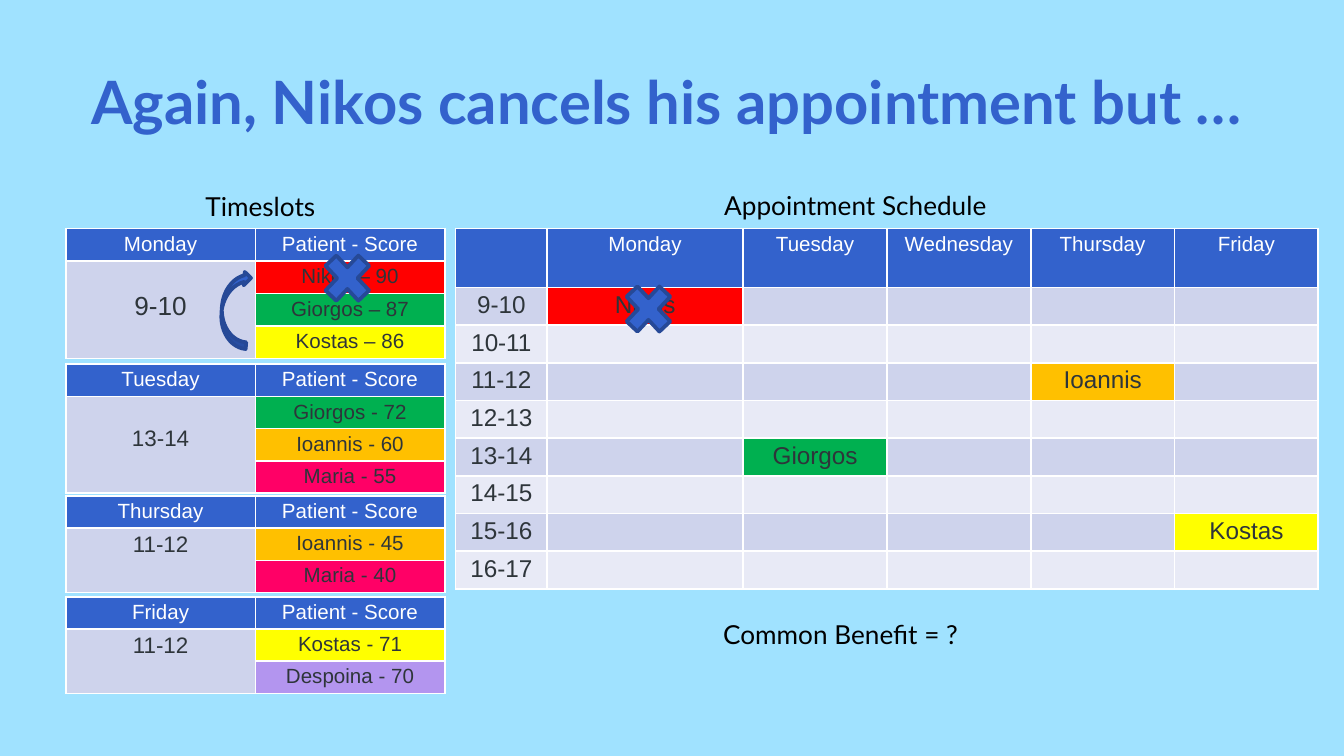
"""Build the slide about a cancelled appointment and its schedule."""
from dataclasses import dataclass

from lxml import etree
from pptx import Presentation
from pptx import util as u
from pptx.dml import color
from pptx.enum import shapes, text
from pptx.oxml import ns

BLUE, DARK_BLUE, WHITE, INK = "3362CC", "264997", "FFFFFF", "2E353A"
BANDS = ("CED3EC", "E8EAF6")
SLIDE_WIDTH = 10
SLIDE_HEIGHT = SLIDE_WIDTH * 9 / 16
TABLE_LEFT, TABLE_TOP = 0.49, 1.7
PATIENT_FILLS = {
    "Nikos": "FF0000",
    "Giorgos": "00B050",
    "Kostas": "FFFF00",
    "Ioannis": "FFC000",
    "Maria": "FF0066",
    "Despoina": "B395EF",
}


@dataclass(frozen=True)
class Timeslot:
    day: str
    hours: str
    patients: tuple[str, ...]
    top: float
    height: float
    hours_size: int = 12
    hours_margin: float = 0.03


@dataclass(frozen=True)
class Label:
    text: str
    left: float
    top: float
    width: float
    alignment: text.PP_ALIGN = text.PP_ALIGN.LEFT


@dataclass(frozen=True)
class Marker:
    kind: shapes.MSO_SHAPE
    left: float
    top: float
    width: float
    height: float
    rotation: float = 0


TIMESLOTS = (
    Timeslot("Monday", "9-10", ("Nikos – 90", "Giorgos – 87", "Kostas – 86"),
             TABLE_TOP, 0.97, 14, 0.23),
    Timeslot("Tuesday", "13-14", ("Giorgos - 72", "Ioannis - 60", "Maria - 55"),
             2.71, 0.96, 12, 0.22),
    Timeslot("Thursday", "11-12", ("Ioannis - 45", "Maria - 40"), 3.69, 0.72),
    Timeslot("Friday", "11-12", ("Kostas - 71", "Despoina - 70"), 4.44, 0.72),
)
DAYS = ("Monday", "Tuesday", "Wednesday", "Thursday", "Friday")
HOURS = tuple(f"{hour}-{hour + 1}" for hour in range(9, 17))
BOOKINGS = {
    ("9-10", "Monday"): "Nikos",
    ("11-12", "Thursday"): "Ioannis",
    ("13-14", "Tuesday"): "Giorgos",
    ("15-16", "Friday"): "Kostas",
}
LABELS = (
    Label("Timeslots", 1.43, 1.37, 1.09),
    Label("Appointment Schedule", 5.29, 1.36, 2.18),
    Label("Common Benefit = ?", 3.46, 4.55, 5.59, text.PP_ALIGN.CENTER),
)
MARKERS = (
    Marker(shapes.MSO_SHAPE.MATH_MULTIPLY, 2.35, 1.82, 0.47, 0.5),
    Marker(shapes.MSO_SHAPE.CURVED_LEFT_ARROW, 1.65, 2.01, 0.2, 0.58, 184.3),
    Marker(shapes.MSO_SHAPE.MATH_MULTIPLY, 4.59, 2.05, 0.47, 0.5),
)


def rgb(value: str) -> color.RGBColor:
    return color.RGBColor.from_string(value)


def set_fill(fill, value: str) -> None:
    fill.solid()
    fill.fore_color.rgb = rgb(value)


def write(frame, content: str, size: float, name: str, ink: str,
          alignment=text.PP_ALIGN.CENTER, bold: bool = False) -> None:
    paragraph = frame.paragraphs[0]
    paragraph.alignment = alignment
    run = paragraph.add_run()
    run.text = content
    for attribute, value in {"size": u.Pt(size), "name": name, "bold": bold}.items():
        setattr(run.font, attribute, value)
    run.font.color.rgb = rgb(ink)


def set_borders(cell) -> None:
    properties = cell._tc.get_or_add_tcPr()
    for index, side in enumerate("LRTB"):
        line = etree.Element(ns.qn(f"a:ln{side}"), w=str(u.Pt(1)))
        solid = etree.SubElement(line, ns.qn("a:solidFill"))
        etree.SubElement(solid, ns.qn("a:srgbClr"), val=WHITE)
        properties.insert(index, line)


def format_cell(cell, content: str, fill: str, size: float = 11, ink: str = INK,
                margin: float = 0.03) -> None:
    margins = {"margin_left": 0.07, "margin_right": 0.07,
               "margin_top": margin, "margin_bottom": 0.03}
    for attribute, value in margins.items():
        setattr(cell, attribute, u.Inches(value))
    set_fill(cell.fill, fill)
    set_borders(cell)
    if content:
        write(cell.text_frame, content, size, "Arial", ink)
    else:
        etree.SubElement(cell.text_frame.paragraphs[0]._p, ns.qn("a:endParaRPr"),
                         sz=str(int(size * 100)))


def add_grid(slide, left: float, top: float, widths: list[float],
             heights: list[float], headings: tuple[str, ...]):
    frame = slide.shapes.add_table(
        len(heights), len(widths), u.Inches(left), u.Inches(top),
        u.Inches(sum(widths)), u.Inches(sum(heights)))
    table = frame.table
    for column, width in zip(table.columns, widths):
        column.width = u.Inches(width)
    for row, height in zip(table.rows, heights):
        row.height = u.Inches(height)
    for index, heading in enumerate(headings):
        format_cell(table.cell(0, index), heading, BLUE, ink=WHITE)
    return table


def add_timeslot(slide, slot: Timeslot) -> None:
    count = len(slot.patients) + 1
    table = add_grid(slide, TABLE_LEFT, slot.top, [1.41] * 2,
                     [slot.height / count] * count, (slot.day, "Patient - Score"))
    for row, patient in enumerate(slot.patients, 1):
        first = row == 1
        format_cell(table.cell(row, 0), slot.hours if first else "", BANDS[0],
                    slot.hours_size if first else 11,
                    margin=slot.hours_margin if first else 0.03)
        format_cell(table.cell(row, 1), patient, PATIENT_FILLS[patient.split()[0]])
    table.cell(1, 0).merge(table.cell(count - 1, 0))


def add_schedule(slide) -> None:
    table = add_grid(slide, 3.39, TABLE_TOP, [0.68, 1.46] + [1.07] * 4,
                     [0.44] + [0.28] * len(HOURS), ("", *DAYS))
    for row, hours in enumerate(HOURS, 1):
        band = BANDS[(row - 1) % 2]
        format_cell(table.cell(row, 0), hours, band, 13)
        for column, day in enumerate(DAYS, 1):
            patient = BOOKINGS.get((hours, day), "")
            format_cell(table.cell(row, column), patient,
                        PATIENT_FILLS.get(patient, band), 13)


def add_label(slide, label: Label) -> None:
    box = slide.shapes.add_textbox(u.Inches(label.left), u.Inches(label.top),
                                   u.Inches(label.width), u.Inches(0.34))
    box.text_frame.word_wrap = True
    write(box.text_frame, label.text, 14, "Lato", "000000", label.alignment)


def add_marker(slide, marker: Marker) -> None:
    shape = slide.shapes.add_shape(
        marker.kind, u.Inches(marker.left), u.Inches(marker.top),
        u.Inches(marker.width), u.Inches(marker.height))
    shape.rotation = marker.rotation
    shape.shadow.inherit = False
    set_fill(shape.fill, BLUE)
    set_fill(shape.line.fill, DARK_BLUE)
    shape.line.width = u.Pt(2)


def format_title(title) -> None:
    position = {"left": 0.13, "top": 0.38, "width": 9.67, "height": 0.82}
    for attribute, value in position.items():
        setattr(title, attribute, u.Inches(value))
    frame = title.text_frame
    for side in ("left", "top", "right", "bottom"):
        setattr(frame, f"margin_{side}", u.Inches(0.1))
    frame.auto_size = text.MSO_AUTO_SIZE.NONE
    frame.vertical_anchor = text.MSO_ANCHOR.TOP
    write(frame, "Again, Nikos cancels his appointment but …", 32, "Lato", BLUE,
          bold=True)


def main() -> None:
    presentation = Presentation()
    presentation.slide_width = u.Inches(SLIDE_WIDTH)
    presentation.slide_height = u.Inches(SLIDE_HEIGHT)
    slide = presentation.slides.add_slide(presentation.slide_layouts[5])
    set_fill(slide.background.fill, "A0E2FF")
    format_title(slide.shapes.title)
    for slot in TIMESLOTS:
        add_timeslot(slide, slot)
    add_schedule(slide)
    for label in LABELS:
        add_label(slide, label)
    for marker in MARKERS:
        add_marker(slide, marker)
    presentation.save("out.pptx")


if __name__ == "__main__":
    main()
